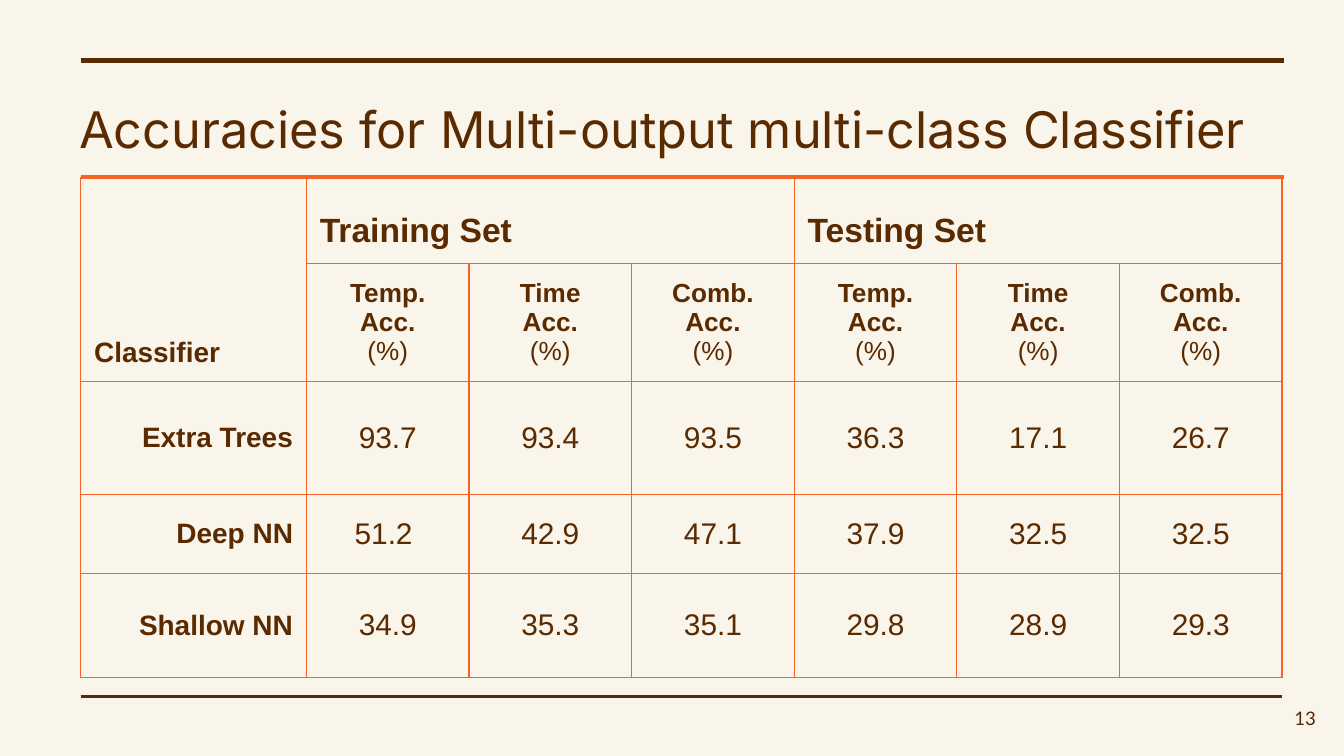
from dataclasses import dataclass

import pptx
import pptx.dml.color
import pptx.enum.shapes
import pptx.enum.text
import pptx.oxml
import pptx.oxml.ns
import pptx.util

Inches = pptx.util.Inches
Pt = pptx.util.Pt
RGBColor = pptx.dml.color.RGBColor
Align = pptx.enum.text.PP_ALIGN
Anchor = pptx.enum.text.MSO_ANCHOR

CREAM = RGBColor(0xFA, 0xF5, 0xEB)
BROWN = RGBColor(0x5A, 0x2A, 0x00)
ORANGE = RGBColor(0xF4, 0x65, 0x24)

SLIDE_WIDTH = 10
SLIDE_HEIGHT = SLIDE_WIDTH * 9 / 16
LEFT = 0.6
TABLE_TOP = 1.32
COLUMN_WIDTHS = [1.68] + [1.21] * 6
ROW_HEIGHTS = [0.64, 0.88, 0.84, 0.59, 0.77]
METRICS = ["Temp.", "Time", "Comb."]


@dataclass
class Rule:
    y: float
    right: float
    color: RGBColor
    width: float


@dataclass
class Style:
    size: float
    font: str = "Arial"
    bold: bool = False
    align: Align = Align.LEFT
    anchor: Anchor = Anchor.MIDDLE


@dataclass
class Label:
    text: str
    left: float
    top: float
    width: float
    height: float
    style: Style


@dataclass
class Result:
    classifier: str
    accuracies: list[str]


RULES = [
    Rule(0.45, 9.55, BROWN, 3),
    Rule(5.18, 9.54, BROWN, 1.5),
    Rule(TABLE_TOP, 9.55, ORANGE, 2.25),
]
LABELS = [
    Label("Accuracies for Multi-output multi-class Classifier",
          0.49, 0.63, 9.05, 0.69, Style(27, "Inter", anchor=Anchor.TOP)),
    Label("13", 9.29, 5.13, 0.6, 0.43, Style(10, "Lato", align=Align.RIGHT)),
]
RESULTS = [
    Result("Extra Trees", ["93.7", "93.4", "93.5", "36.3", "17.1", "26.7"]),
    Result("Deep NN", ["51.2 ", "42.9", "47.1", "37.9", "32.5", "32.5"]),
    Result("Shallow NN", ["34.9", "35.3", "35.1", "29.8", "28.9", "29.3"]),
]
CORNER = Style(15, bold=True, anchor=Anchor.BOTTOM)
GROUP = Style(18, bold=True, anchor=Anchor.BOTTOM)
METRIC = Style(14, bold=True, align=Align.CENTER)
UNIT = Style(14, align=Align.CENTER)
NAME = Style(15, bold=True, align=Align.RIGHT)
VALUE = Style(16, align=Align.CENTER)


def write_line(p, text: str, style: Style) -> None:
    p.alignment = style.align
    r = p.add_run()
    r.text = text
    r.font.name = style.font
    r.font.size = Pt(style.size)
    r.font.bold = style.bold
    r.font.color.rgb = BROWN


def draw_rule(s, rule: Rule) -> None:
    sp = s.shapes.add_connector(
        pptx.enum.shapes.MSO_CONNECTOR.STRAIGHT,
        Inches(LEFT), Inches(rule.y), Inches(rule.right), Inches(rule.y))
    sp.line.color.rgb = rule.color
    sp.line.width = Pt(rule.width)
    sp.element.spPr.append(pptx.oxml.parse_xml(
        f"<a:effectLst {pptx.oxml.ns.nsdecls('a')}/>"))


def draw_label(s, label: Label) -> None:
    sp = s.shapes.add_textbox(Inches(label.left), Inches(label.top),
                              Inches(label.width), Inches(label.height))
    tf = sp.text_frame
    tf.word_wrap = True
    tf.vertical_anchor = label.style.anchor
    tf.margin_left = tf.margin_right = Inches(0.1)
    tf.margin_top = tf.margin_bottom = Inches(0.1)
    write_line(tf.paragraphs[0], label.text, label.style)


def format_cell(cell) -> None:
    cell.margin_left = cell.margin_right = Inches(0.1)
    cell.margin_top = cell.margin_bottom = Inches(0.1)
    tc_pr = cell._tc.get_or_add_tcPr()
    for side in ("lnL", "lnR", "lnT", "lnB"):
        tc_pr.append(pptx.oxml.parse_xml(
            f'<a:{side} {pptx.oxml.ns.nsdecls("a")} w="{Pt(0.75)}">'
            f'<a:solidFill><a:srgbClr val="{ORANGE}"/></a:solidFill>'
            f'</a:{side}>'))
    cell.fill.background()


def fill_cell(cell, lines: list[tuple[str, Style]]) -> None:
    cell.vertical_anchor = lines[0][1].anchor
    tf = cell.text_frame
    for i, (text, style) in enumerate(lines):
        p = tf.add_paragraph() if i else tf.paragraphs[0]
        write_line(p, text, style)


def draw_accuracy_table(s) -> None:
    table = s.shapes.add_table(
        len(ROW_HEIGHTS), len(COLUMN_WIDTHS), Inches(LEFT), Inches(TABLE_TOP),
        Inches(sum(COLUMN_WIDTHS)), Inches(sum(ROW_HEIGHTS))).table
    table.first_row = False
    table.horz_banding = False
    for column, width in zip(table.columns, COLUMN_WIDTHS):
        column.width = Inches(width)
    for row, height in zip(table.rows, ROW_HEIGHTS):
        row.height = Inches(height)
    for cell in table.iter_cells():
        format_cell(cell)

    table.cell(0, 0).merge(table.cell(1, 0))
    fill_cell(table.cell(0, 0), [("Classifier", CORNER)])
    for group, title in enumerate(["Training Set", "Testing Set"]):
        first = 1 + group * len(METRICS)
        last = first + len(METRICS) - 1
        table.cell(0, first).merge(table.cell(0, last))
        fill_cell(table.cell(0, first), [(title, GROUP)])
        for col, metric in enumerate(METRICS, first):
            fill_cell(table.cell(1, col),
                      [(metric, METRIC), ("Acc.", METRIC), ("(%)", UNIT)])
    for row, result in enumerate(RESULTS, 2):
        fill_cell(table.cell(row, 0), [(result.classifier, NAME)])
        for col, accuracy in enumerate(result.accuracies, 1):
            fill_cell(table.cell(row, col), [(accuracy, VALUE)])


def main() -> None:
    prs = pptx.Presentation()
    prs.slide_width = Inches(SLIDE_WIDTH)
    prs.slide_height = Inches(SLIDE_HEIGHT)
    s = prs.slides.add_slide(prs.slide_layouts[6])
    s.background.fill.solid()
    s.background.fill.fore_color.rgb = CREAM
    for rule in RULES:
        draw_rule(s, rule)
    draw_accuracy_table(s)
    for label in LABELS:
        draw_label(s, label)
    prs.save("out.pptx")


if __name__ == "__main__":
    main()
